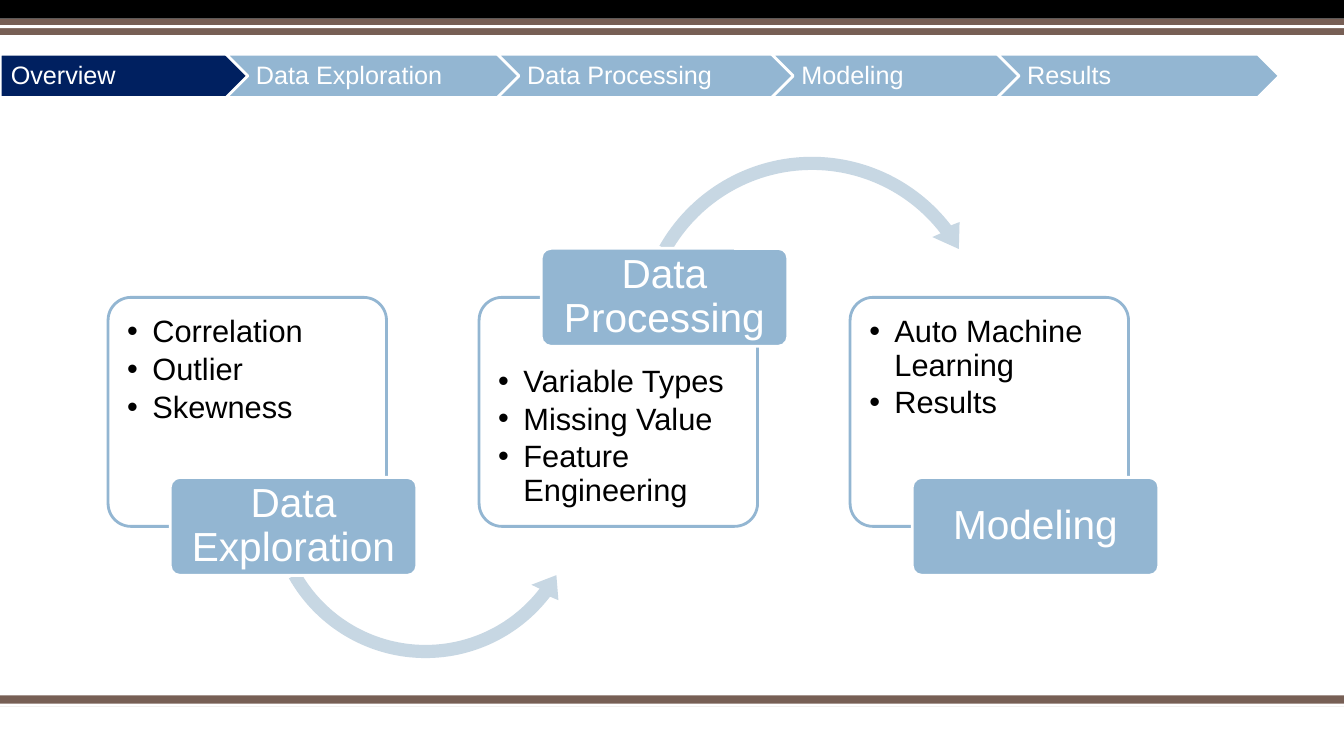
import math
from dataclasses import dataclass

from lxml import etree
from pptx import Presentation
from pptx.dml.color import RGBColor
from pptx.enum import shapes, text
from pptx.oxml import ns
from pptx.util import Pt


@dataclass(frozen=True)
class Theme:
    font: str = "Arial"
    black: str = "000000"
    white: str = "FFFFFF"
    brown: str = "775F55"
    navy: str = "002060"
    blue: str = "93B6D2"
    pale_blue: str = "C7D7E3"
    nav_size: float = 18
    bullet_size: float = 22
    label_size: float = 29
    outline: float = 2


THEME = Theme()
KIND = shapes.MSO_SHAPE
SLIDE_W, SLIDE_H = 960, 540

NAV_Y, NAV_H, NAV_OVERLAP = 38.7, 31, 40.3
NAV_STEPS = [
    ("Overview", 201.6),
    ("Data Exploration", 234),
    ("Data Processing", 236.2),
    ("Modeling", 201.6),
    ("Results", 201.6),
]

CARD_X, CARD_Y, CARD_W, CARD_H, CARD_PITCH = 77.2, 212.4, 198.9, 163.6, 265
LABEL_DX, LABEL_W, LABEL_H = 44.4, 176.2, 70
# label, bullets, label on top, arrow to the next card (frame x, y, size; radius)
CARDS = [
    ("Data Exploration", ["Correlation", "Outlier", "Skewness"],
     False, (185.2, 239.2, 237.6, 107.4)),
    ("Data Processing", ["Variable Types", "Missing Value", "Feature Engineering"],
     True, (448.6, 105.8, 262.8, 120.5)),
    ("Modeling", ["Auto Machine Learning", "Results"], False, None),
]


def paint(sp, fill, line=None):
    sp.shadow.inherit = False
    sp.fill.solid()
    sp.fill.fore_color.rgb = RGBColor.from_string(fill)
    if line:
        sp.line.color.rgb = RGBColor.from_string(line)
        sp.line.width = Pt(THEME.outline)
    else:
        sp.line.fill.background()


def add_box(s, kind, box, fill, line=None):
    sp = s.shapes.add_shape(kind, *map(Pt, box))
    paint(sp, fill, line)
    return sp


def set_frame(sp, insets, anchor):
    """Insets run left, top, right, bottom."""
    tf = sp.text_frame
    tf.word_wrap = True
    tf.vertical_anchor = anchor
    tf.margin_left, tf.margin_top, tf.margin_right, tf.margin_bottom = map(Pt, insets)
    return tf


def write(p, words, size, color, align):
    p.alignment = align
    p.line_spacing = 0.9
    r = p.add_run()
    r.text = words
    r.font.name = THEME.font
    r.font.size = Pt(size)
    r.font.color.rgb = RGBColor.from_string(color)


def add_bullet(p):
    p.level = 1
    pPr = p._p.get_or_add_pPr()
    pPr.set("marL", str(Pt(18)))
    pPr.set("indent", str(Pt(-18)))
    clr = etree.SubElement(pPr, ns.qn("a:buClr"))
    etree.SubElement(clr, ns.qn("a:srgbClr"), val=THEME.black)
    etree.SubElement(pPr, ns.qn("a:buFont"), typeface=THEME.font)
    etree.SubElement(pPr, ns.qn("a:buChar"), char="•")


def set_opacity(sp, percent):
    clr = sp._element.spPr.find(ns.qn("a:solidFill"))[0]
    etree.SubElement(clr, ns.qn("a:alpha"), val=str(percent * 1000))


def add_bands(s):
    for y, h, color in [
        (496.8, 7.7, THEME.brown),
        (502.6, 2, THEME.white),
        (0, 13.4, THEME.black),
        (13.4, 11.6, THEME.brown),
        (18, 2.2, THEME.white),
    ]:
        add_box(s, KIND.RECTANGLE, (0, y, SLIDE_W, h), color)


def add_panel(s, x, bullets, label_on_top):
    sp = add_box(s, KIND.ROUNDED_RECTANGLE, (x, CARD_Y, CARD_W, CARD_H),
                 THEME.white, THEME.blue)
    sp.adjustments[0] = 0.1
    set_opacity(sp, 90)
    top, bottom = (44, 9) if label_on_top else (8.7, 44)
    tf = set_frame(sp, (8.9, top, 9, bottom), text.MSO_ANCHOR.TOP)
    for i, words in enumerate(bullets):
        p = tf.add_paragraph() if i else tf.paragraphs[0]
        write(p, words, THEME.bullet_size, THEME.black, text.PP_ALIGN.LEFT)
        p.space_before = Pt(3.3 if i else 0)
        add_bullet(p)


def add_label(s, x, words, on_top):
    y = CARD_Y + (0 if on_top else CARD_H) - LABEL_H / 2
    sp = add_box(s, KIND.ROUNDED_RECTANGLE, (x + LABEL_DX, y, LABEL_W, LABEL_H),
                 THEME.blue, THEME.white)
    sp.adjustments[0] = 0.1
    tf = set_frame(sp, (4.3, 2.9, 4.3, 2.9), text.MSO_ANCHOR.MIDDLE)
    write(tf.paragraphs[0], words, THEME.label_size, THEME.white, text.PP_ALIGN.CENTER)


def arc_curves(radius, start, end):
    """Two cubic curves along a circle, as polar control points."""
    sweep = (end - start) / 2
    pull = 4 / 3 * math.tan(math.radians(sweep) / 4)
    reach = radius * math.hypot(1, pull)
    turn = math.degrees(math.atan(pull))
    return [("cubicBezTo", [(reach, a + turn), (reach, a + sweep - turn),
                            (radius, a + sweep)]) for a in (start, start + sweep)]


def add_arc_arrow(s, x, y, size, radius, over):
    """Draw an arrow along a circle, left to right, over or under its centre."""
    half_band, half_head = 4.7, 11
    start, neck, tip = 150.5, 37.5, 29.5
    outer, inner = radius + half_band, radius - half_band
    head = [(radius + half_head, neck - 0.8), (radius, tip),
            (radius - half_head, neck + 0.8), (inner, neck)]
    steps = [("moveTo", [(outer, start)]), *arc_curves(outer, start, neck),
             *[("lnTo", [corner]) for corner in head],
             *arc_curves(inner, neck, start), ("close", [])]

    builder = s.shapes.build_freeform(Pt(x), Pt(y))
    builder.add_line_segments([(Pt(x + size), Pt(y)), (Pt(x + size), Pt(y + size)),
                               (Pt(x), Pt(y + size))])
    sp = builder.convert_to_shape()
    paint(sp, THEME.pale_blue)
    outline = sp._element.spPr.find(".//" + ns.qn("a:pathLst"))[0]
    for step in list(outline):
        outline.remove(step)
    side = -1 if over else 1
    for name, points in steps:
        step = etree.SubElement(outline, ns.qn("a:" + name))
        for d, angle in points:
            a = math.radians(angle)
            etree.SubElement(step, ns.qn("a:pt"),
                             x=str(Pt(size / 2 + d * math.cos(a))),
                             y=str(Pt(size / 2 + side * d * math.sin(a))))


def add_cards(s):
    for i, (label, bullets, on_top, arrow) in enumerate(CARDS):
        x = CARD_X + i * CARD_PITCH
        add_panel(s, x, bullets, on_top)
        if arrow:
            add_arc_arrow(s, *arrow, over=on_top)
        add_label(s, x, label, on_top)


def add_navigation(s):
    x = 0.2
    for i, (words, width) in enumerate(NAV_STEPS):
        kind, fill, left = ((KIND.CHEVRON, THEME.blue, 5.8) if i
                            else (KIND.PENTAGON, THEME.navy, 7.5))
        sp = add_box(s, kind, (x, NAV_Y, width, NAV_H), fill, THEME.white)
        sp.adjustments[0] = 0.5
        tf = set_frame(sp, (left, 3.6, 2, 3.6), text.MSO_ANCHOR.MIDDLE)
        write(tf.paragraphs[0], words, THEME.nav_size, THEME.white, text.PP_ALIGN.LEFT)
        x += width - NAV_OVERLAP


def main():
    prs = Presentation()
    prs.slide_width, prs.slide_height = Pt(SLIDE_W), Pt(SLIDE_H)
    s = prs.slides.add_slide(prs.slide_layouts[6])
    add_bands(s)
    add_cards(s)
    add_navigation(s)
    prs.save("out.pptx")


if __name__ == "__main__":
    main()
